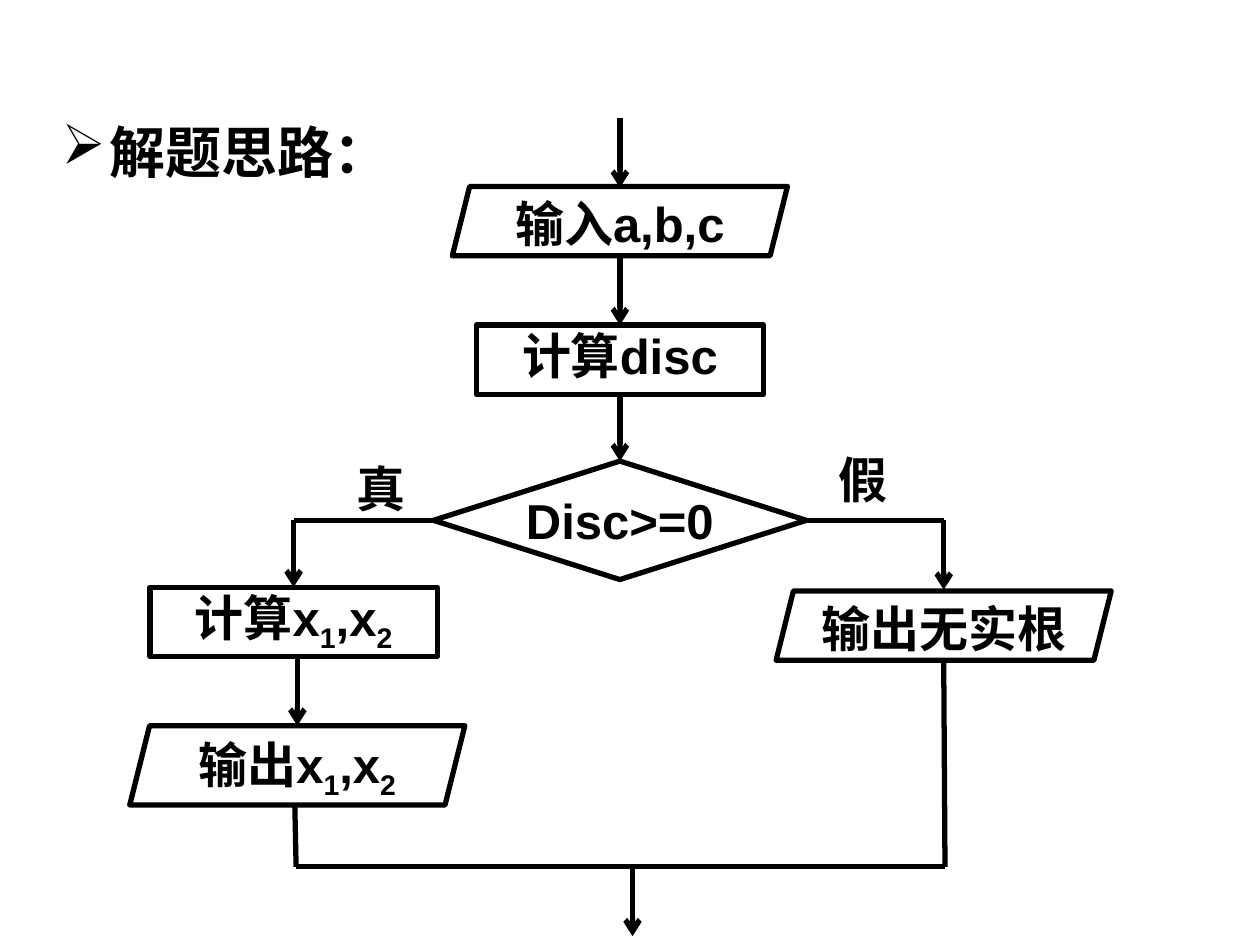
from lxml import etree
from pptx import Presentation
from pptx.dml.color import RGBColor
from pptx.enum.shapes import MSO_CONNECTOR, MSO_SHAPE
from pptx.enum.text import MSO_ANCHOR, MSO_AUTO_SIZE, PP_ALIGN
from pptx.oxml.ns import qn
from pptx.util import Inches, Pt

DATA = MSO_SHAPE.PARALLELOGRAM
STEP = MSO_SHAPE.FLOWCHART_PROCESS
TEST = MSO_SHAPE.FLOWCHART_DECISION
LINE = MSO_CONNECTOR.STRAIGHT
FIT = MSO_AUTO_SIZE.SHAPE_TO_FIT_TEXT
HIGH = MSO_ANCHOR.TOP
CENTER = PP_ALIGN.CENTER
TOP, LEFT, BOTTOM, RIGHT = range(4)
COLORS = {"ink": "000000", "paper": "FFFFFF"}


class Chart:
    """Holds the flow chart's style and the slide it is drawn on."""

    font = "Arial"
    size = 28
    weight = 3

    def __init__(self, slide):
        self.slide = slide

    def color(self, name):
        return RGBColor.from_string(COLORS[name])

    def fill_in(self, para, runs, font=None, size=None):
        """Add runs in turn; a run of digits only is a subscript."""
        for text in runs:
            run = para.add_run()
            run.text = text
            run.font.name = font or self.font
            run.font.size = Pt(size or self.size)
            run.font.bold = True
            run.font.color.rgb = self.color("ink")
            if text.isdigit():
                run.font._element.set("baseline", "-25000")

    def text(self, x, y, w, h):
        box = self.slide.shapes.add_textbox(
            Inches(x), Inches(y), Inches(w), Inches(h))
        box.text_frame.word_wrap = True
        return box.text_frame

    def title(self, x, y, w, h, text):
        para = self.text(x, y, w, h).paragraphs[0]
        props = para._p.get_or_add_pPr()
        props.set("marL", str(Inches(0.38)))
        props.set("indent", str(-Inches(0.38)))
        tint = etree.SubElement(props, qn("a:buClr"))
        etree.SubElement(tint, qn("a:srgbClr"), val=COLORS["ink"])
        etree.SubElement(props, qn("a:buChar"), char="➢")
        para.line_spacing = 1.2
        self.fill_in(para, [text], "DejaVu Sans", 32)

    def label(self, x, y, text):
        frame = self.text(x, y, 0.55, 0.57)
        frame.auto_size = FIT
        self.fill_in(frame.paragraphs[0], [text])

    def node(self, kind, x, y, w, h, *runs):
        shape = self.slide.shapes.add_shape(
            kind, Inches(x), Inches(y), Inches(w), Inches(h))
        shape.shadow.inherit = False
        if kind == DATA:
            shape.adjustments[0] = 0.25
        shape.fill.solid()
        shape.fill.fore_color.rgb = self.color("paper")
        shape.line.color.rgb = self.color("ink")
        shape.line.width = Pt(self.weight)
        frame = shape.text_frame
        frame.margin_left = frame.margin_right = 0
        frame.margin_top = frame.margin_bottom = 0
        frame.word_wrap = False
        frame.vertical_anchor = HIGH
        para = frame.paragraphs[0]
        para.alignment = CENTER
        self.fill_in(para, runs)
        return shape

    def line(self, x1, y1, x2, y2, start=None, end=None, head=False):
        """Draw a line; start and end are (node, side) pairs to join."""
        link = self.slide.shapes.add_connector(
            LINE, Inches(x1), Inches(y1), Inches(x2), Inches(y2))
        link.line.color.rgb = self.color("ink")
        link.line.width = Pt(self.weight)
        props = link._element.spPr
        if head:
            etree.SubElement(props.find(qn("a:ln")),
                             qn("a:tailEnd"), type="arrow")
        etree.SubElement(props, qn("a:effectLst"))
        if start:
            link.begin_connect(*start)
        if end:
            link.end_connect(*end)

    def arrow(self, x, y, start=None, end=None):
        self.line(x, y, x, y + 0.55, start, end, True)


def main():
    deck = Presentation()
    deck.slide_width, deck.slide_height = Inches(10), Inches(7.5)
    chart = Chart(deck.slides.add_slide(deck.slide_layouts[6]))
    chart.title(0.39, 0.78, 2.97, 0.86, "解题思路：")

    mid, yes, no = 4.92, 2.33, 7.49
    fork, join = 4.13, 6.88

    chart.node(DATA, 3.59, 1.48, 2.66, 0.55, "输入a,b,c")
    disc = chart.node(STEP, mid - 1.14, 2.58, 2.28, 0.55, "计算disc")
    test = chart.node(TEST, mid - 1.48, 3.66, 2.96, 0.94, "Disc>=0")
    roots = chart.node(STEP, yes - 1.14, 4.66, 2.28, 0.55,
                       "计算x", "1", ",x", "2")
    chart.node(DATA, 6.16, 4.69, 2.66, 0.55, "输出无实根")
    chart.node(DATA, 1.03, 5.76, 2.66, 0.63, "输出x", "1", ",x", "2")

    chart.arrow(mid, 0.94)
    chart.arrow(mid, 2.03, end=(disc, TOP))
    chart.arrow(mid, 3.13, (disc, BOTTOM), (test, TOP))
    chart.arrow(yes, fork, end=(roots, TOP))
    chart.arrow(no, fork)
    chart.arrow(2.36, 5.21)
    chart.arrow(5.02, join)

    chart.line(yes, fork, 3.44, fork, end=(test, LEFT))
    chart.line(6.4, fork, no, fork, start=(test, RIGHT))
    chart.line(2.35, join, 7.5, join)
    chart.line(7.5, join, no, 5.24)
    chart.line(2.35, join, 2.34, 6.39)

    chart.label(2.73, 3.59, "真")
    chart.label(6.56, 3.52, "假")
    deck.save("out.pptx")


if __name__ == "__main__":
    main()
